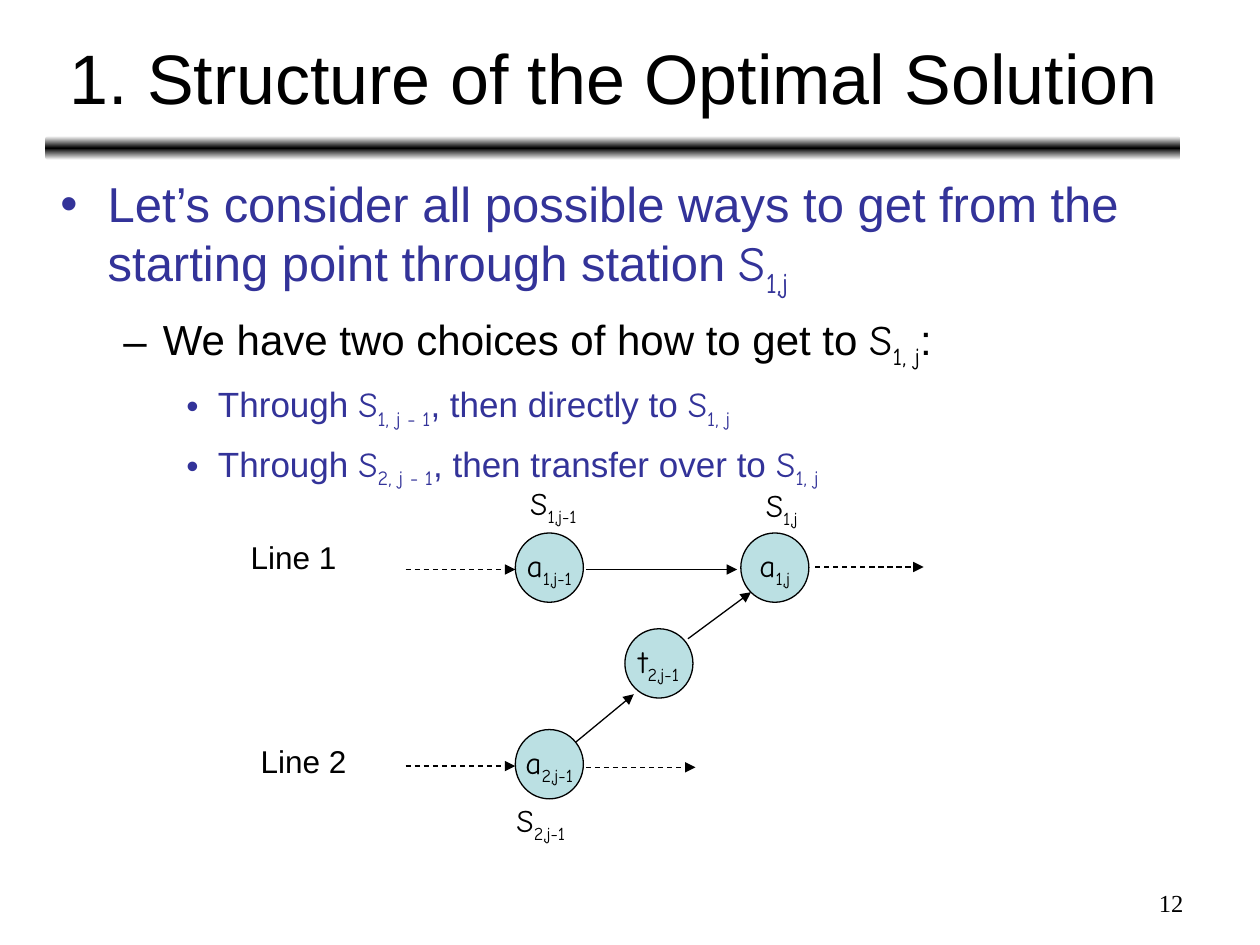
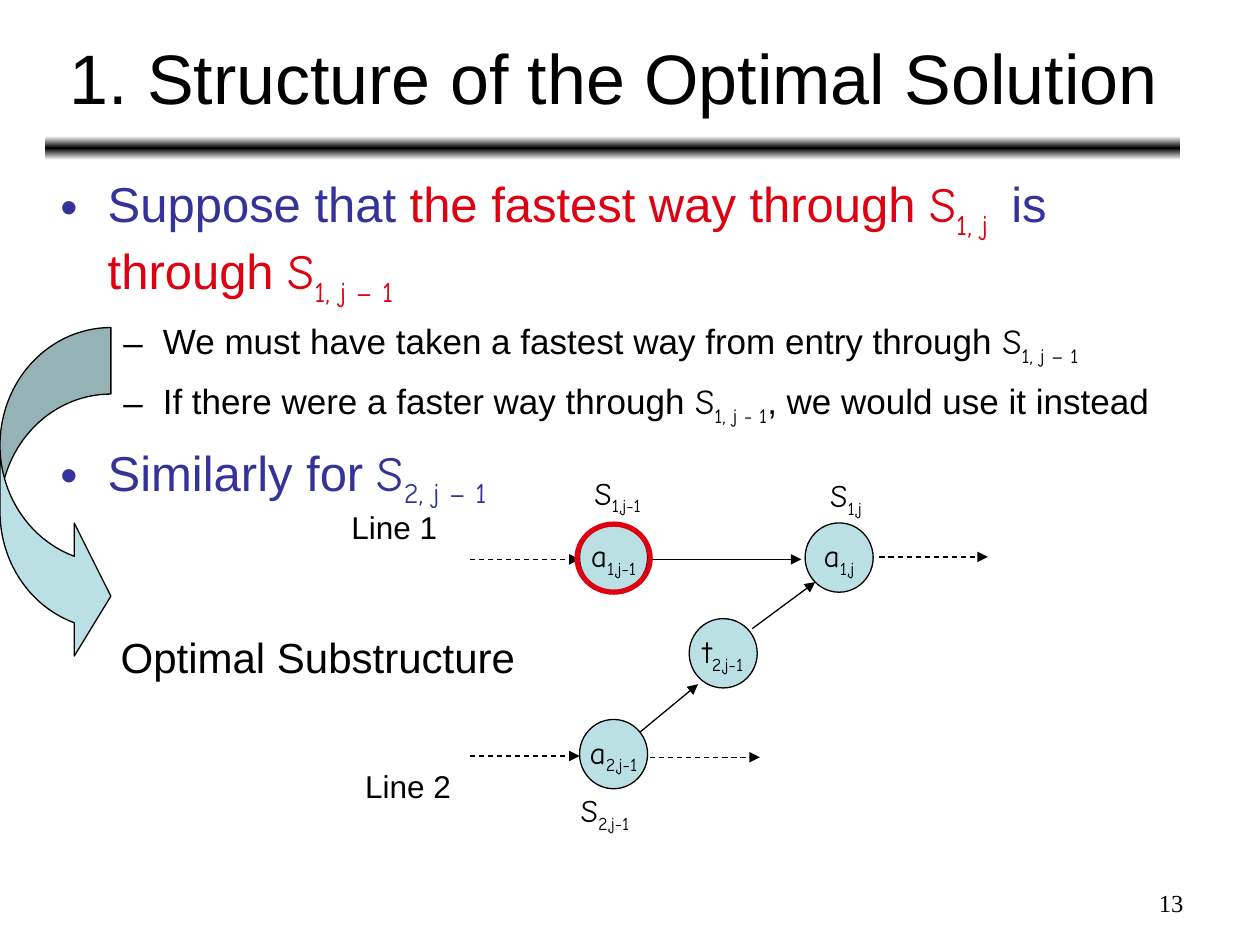
import copy

import pptx
import pptx.dml.color
import pptx.enum.dml
import pptx.enum.shapes
import pptx.enum.text
import pptx.oxml
import pptx.oxml.ns
import pptx.util
from pptx.util import Inches, Pt

BLACK, WHITE = "000000", "FFFFFF"
BLUE, RED, TEAL = "333399", "DD0111", "BBE0E3"
TEXT_FONT, MATH_FONT, NUMBER_FONT = "Arial", "Comic Neue", "Times New Roman"
TITLE = "1. Structure of the Optimal Solution"
SHAPE = pptx.enum.shapes.MSO_SHAPE
ALIGN = pptx.enum.text.PP_ALIGN
FIT = pptx.enum.text.MSO_AUTO_SIZE
MIDDLE = pptx.enum.text.MSO_ANCHOR.MIDDLE


def color(hex_code):
    return pptx.dml.color.RGBColor.from_string(hex_code)


def write(para, text, size, shade=BLACK, font=TEXT_FONT):
    """Text between * is red; |S1,j| is a symbol followed by its subscript."""
    for red, part in enumerate(text.split("*")):
        for symbol, chunk in enumerate(part.split("|")):
            pieces = [chunk[:1], chunk[1:]] if symbol % 2 else [chunk]
            for subscript, piece in enumerate(pieces):
                if not piece:
                    continue
                span = para.add_run()
                span.text = piece
                span.font.size = Pt(size)
                span.font.name = MATH_FONT if symbol % 2 else font
                span.font.color.rgb = color(RED if red % 2 else shade)
                if subscript:
                    span.font._element.set("baseline", "-25000")
    para.space_after = Pt(0.9)


# Content: list lines are (level, size, colour, text); captions are (text, x, y, width, size)
slides = [
    {
        "number": 12,
        "body_width": 9.06,
        "shift": (0, 0),
        "lines": [
            (0, 28, BLUE, "Let’s consider all possible ways to get from the starting point through station |S1,j|"),
            (1, 24, BLACK, "We have two choices of how to get to |S1, j|:"),
            (2, 20, BLUE, "Through |S1, j - 1|, then directly to |S1, j|"),
            (2, 20, BLUE, "Through |S2, j - 1|, then transfer over to |S1, j|"),
        ],
        "captions": [("Line 1", 1.89, 4.22, 0.88, 18), ("Line 2", 1.97, 5.84, 0.88, 18)],
    },
    {
        "number": 13,
        "body_width": 9.34,
        "shift": (0.51, -0.08),
        "lines": [
            (0, 28, BLUE, "Suppose that *the fastest way through |S1, j |* is *through |S1, j – 1|"),
            (1, 20, BLACK, "We must have taken a fastest way from entry through |S1, j – 1|"),
            (1, 20, BLACK, "If there were a faster way through |S1, j - 1|, we would use it instead"),
            (0, 28, BLUE, "Similarly for |S2, j – 1|"),
        ],
        "captions": [
            ("Line 1", 2.69, 3.98, 0.88, 18),
            ("Line 2", 2.8, 6.04, 0.88, 18),
            ("Optimal Substructure", 0.86, 4.96, 3.33, 24),
        ],
    },
]

# Assembly-line diagram, before each slide's shift
stations = [("|a1,j|", 5.88, 4.23), ("|a1,j-1|", 4.09, 4.23), ("|a2,j-1|", 4.09, 5.79), ("|t2,j-1|", 4.96, 4.99)]
station_labels = [("|S1,j|", 5.98, 3.81, 0.5), ("|S1,j-1|", 4.11, 3.79, 0.6), ("|S2,j-1|", 4, 6.31, 0.6)]
arrows = [  # x1, y1, x2, y2, dashed
    (3.22, 4.52, 4.09, 4.52, True),
    (3.22, 6.08, 4.09, 6.08, True),
    (4.65, 4.52, 5.85, 4.52, False),
    (4.57, 5.89, 5.03, 5.51, False),
    (5.46, 5.07, 5.96, 4.7, False),
    (6.47, 4.5, 7.33, 4.5, True),
    (4.65, 6.09, 5.52, 6.09, True),
]

deck = pptx.Presentation()
deck.slide_width, deck.slide_height = Inches(10), Inches(7.5)
layout = deck.slide_layouts[1]

for content in slides:
    page = deck.slides.add_slide(layout)
    shift_x, shift_y = content["shift"]

    # Gradient band, made once and kept on the layout
    if content is slides[0]:
        band = page.shapes.add_shape(
            SHAPE.ROUNDED_RECTANGLE, Inches(0.36), Inches(1.08), Inches(9.01), Inches(0.19)
        )
        band.shadow.inherit = False
        band.line.fill.background()
        band.fill.gradient()
        band.fill.gradient_angle = 90
        first_stop = band._element.spPr.xpath(".//a:gs")[0]
        first_stop.addnext(copy.deepcopy(first_stop))
        for stop, position, shade in zip(band.fill.gradient_stops, (0, 0.5, 1), (WHITE, BLACK, WHITE)):
            stop.position = position
            stop.color.rgb = color(shade)
        layout.shapes._spTree.insert(2, band._element)

    # Title
    title = page.shapes.title
    title.left, title.top, title.width, title.height = Inches(0.37), Inches(0.11), Inches(9), Inches(0.99)
    title.text_frame.auto_size = FIT.NONE
    title.text_frame.vertical_anchor = MIDDLE
    title.text_frame.paragraphs[0].alignment = ALIGN.CENTER
    write(title.text_frame.paragraphs[0], TITLE, 40)

    # Bulleted list
    body = page.placeholders[1]
    body.left, body.top = Inches(0.38), Inches(1.33)
    body.width, body.height = Inches(content["body_width"]), Inches(5.55)
    body.text_frame.auto_size = FIT.NONE
    for index, (level, size, shade, text) in enumerate(content["lines"]):
        para = body.text_frame.add_paragraph() if index else body.text_frame.paragraphs[0]
        para.level = level
        para.space_before = Pt({28: 7.9, 24: 6.9, 20: 5.9}[size] if index else 0)
        write(para, text, size, shade)

    # Stations
    for text, x, y in stations:
        station = page.shapes.add_shape(
            SHAPE.OVAL, Inches(x + shift_x), Inches(y + shift_y), Inches(0.54), Inches(0.55)
        )
        station.shadow.inherit = False
        station.fill.solid()
        station.fill.fore_color.rgb = color(TEAL)
        station.line.color.rgb = color(BLACK)
        station.line.width = Pt(0.75)
        station.text_frame.word_wrap = False
        station.text_frame.vertical_anchor = MIDDLE
        station.text_frame.paragraphs[0].alignment = ALIGN.CENTER
        write(station.text_frame.paragraphs[0], text, 18)

    # Station labels and captions
    labels = [(text, x + shift_x, y + shift_y, width, 18) for text, x, y, width in station_labels]
    for text, x, y, width, size in labels + content["captions"]:
        box = page.shapes.add_textbox(Inches(x), Inches(y), Inches(width), Inches(0.5 if size == 24 else 0.4))
        box.text_frame.word_wrap = False
        box.text_frame.auto_size = FIT.SHAPE_TO_FIT_TEXT
        write(box.text_frame.paragraphs[0], text, size)

    # Arrows
    for x1, y1, x2, y2, dashed in arrows:
        arrow = page.shapes.add_connector(
            pptx.enum.shapes.MSO_CONNECTOR.STRAIGHT,
            Inches(x1 + shift_x), Inches(y1 + shift_y), Inches(x2 + shift_x), Inches(y2 + shift_y),
        )
        arrow.line.color.rgb = color(BLACK)
        arrow.line.width = Pt(0.75)
        if dashed:
            arrow.line.dash_style = pptx.enum.dml.MSO_LINE.DASH
        head = pptx.oxml.parse_xml(f'<a:tailEnd {pptx.oxml.ns.nsdecls("a")} type="triangle"/>')
        arrow.line._get_or_add_ln().append(head)
        arrow._element.spPr.append(pptx.oxml.parse_xml(f'<a:effectLst {pptx.oxml.ns.nsdecls("a")}/>'))

    # Page number
    footer = page.shapes.add_textbox(Inches(7.17), Inches(7), Inches(2.32), Inches(0.34))
    footer.text_frame.word_wrap = True
    footer.text_frame.paragraphs[0].alignment = ALIGN.RIGHT
    write(footer.text_frame.paragraphs[0], str(content["number"]), 14, font=NUMBER_FONT)

# Second slide: ring around the chosen station
ring = page.shapes.add_shape(SHAPE.OVAL, Inches(4.58), Inches(4.16), Inches(0.58), Inches(0.54))
ring.shadow.inherit = False
ring.fill.background()
ring.line.color.rgb = color(RED)
ring.line.width = Pt(3)

# Second slide: curved arrow to the conclusion
curve = page.shapes.add_shape(SHAPE.CURVED_RIGHT_ARROW, Inches(0), Inches(2.6), Inches(0.88), Inches(2.66))
for index, ratio in enumerate((0.6, 1.2, 0.33)):
    curve.adjustments[index] = ratio
curve.shadow.inherit = False
curve.fill.solid()
curve.fill.fore_color.rgb = color(TEAL)
curve.line.color.rgb = color(BLACK)
curve.line.width = Pt(0.75)

deck.save("out.pptx")
